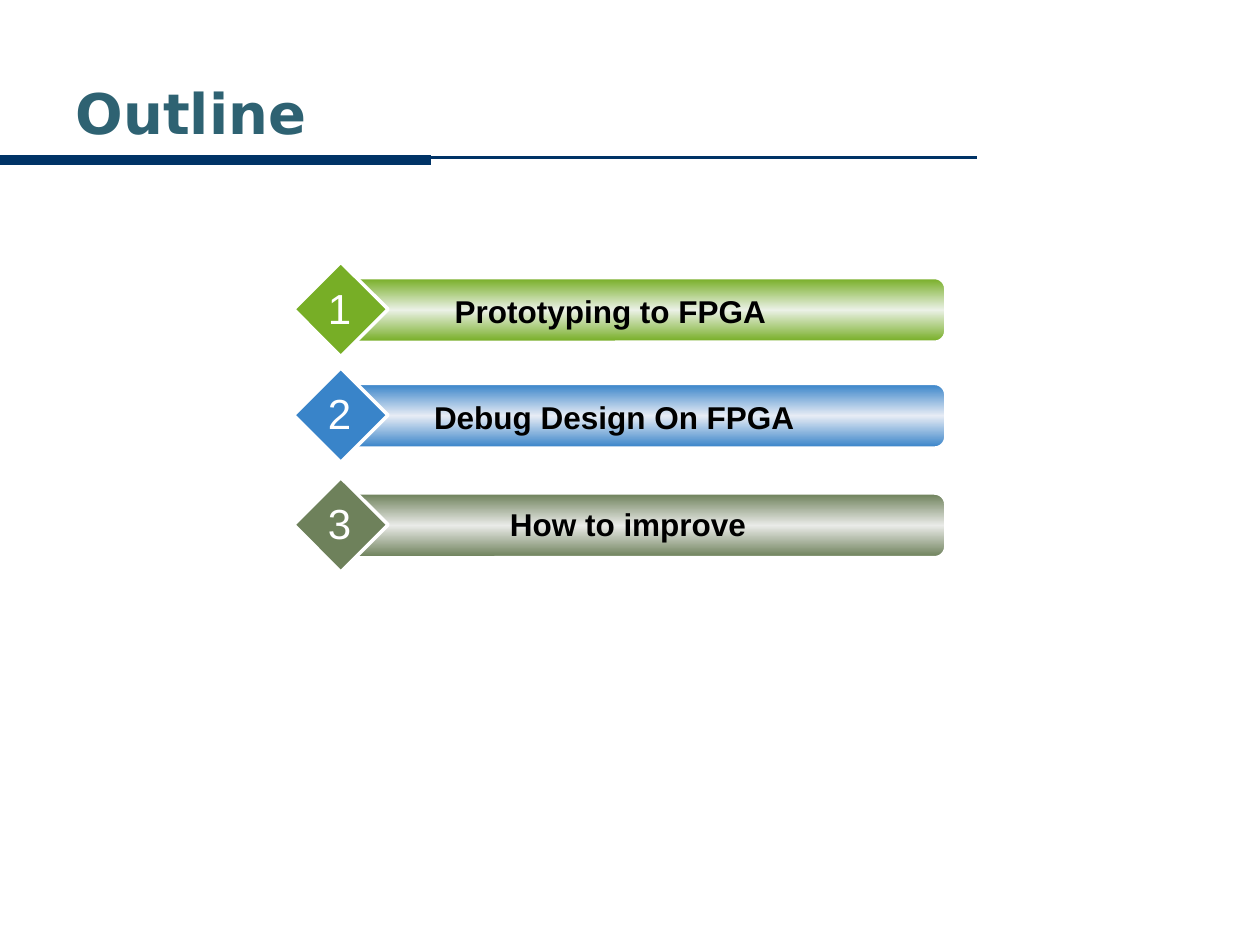
from copy import deepcopy

from pptx import Presentation
from pptx import util as u
from pptx.dml.color import RGBColor
from pptx.enum import shapes, text
from pptx.oxml.ns import qn
from lxml import etree

COLORS = {
    "rule": "003366", "title": "2E6272", "white": "FFFFFF", "black": "000000",
    "green": "77AE26", "green_light": "EBF1E6",
    "blue": "3984C9", "blue_light": "E7ECF5",
    "olive": "6E815B", "olive_light": "EAEBE8",
}

STEPS = [
    ("1", "Prototyping to FPGA ", "green", 2.21, 3, 2.27),
    ("2", "Debug Design On FPGA", "blue", 3.05, 3, 3.11),
    ("3", "How to improve", "olive", 3.92, 3.11, 3.96),
]


def color(name):
    return RGBColor.from_string(COLORS[name])


def inches(*lengths):
    return [u.Inches(length) for length in lengths]


def write(shape, words, size, fill, font="Arial", bold=False,
          align=text.PP_ALIGN.CENTER, anchor=text.MSO_ANCHOR.TOP, wrap=True):
    frame = shape.text_frame
    frame.word_wrap = wrap
    frame.vertical_anchor = anchor
    paragraph = frame.paragraphs[0]
    paragraph.alignment = align
    run = paragraph.add_run()
    run.text = words
    run.font.name = font
    run.font.size = u.Pt(size)
    run.font.bold = bold
    run.font.color.rgb = color(fill)


def add_rule(slide, right, top, width):
    line = slide.shapes.add_connector(
        shapes.MSO_CONNECTOR.STRAIGHT, *inches(0, top, right, top))
    line.line.color.rgb = color("rule")
    line.line.width = u.Pt(width)
    etree.SubElement(line._element.spPr, qn("a:effectLst"))


def add_outlined(slide, kind, box, width):
    shape = slide.shapes.add_shape(kind, *inches(*box))
    shape.shadow.inherit = False
    shape.line.color.rgb = color("white")
    shape.line.width = u.Pt(width)
    return shape


def fill_with_sheen(shape, edge, middle):
    shape.fill.gradient()
    shape.fill.gradient_angle = 90
    stops = shape.fill.gradient_stops
    first = shape._element.spPr.find(".//" + qn("a:gs"))
    first.addnext(deepcopy(first))
    for stop, position, name in zip(stops, (0, 0.5, 1), (edge, middle, edge)):
        stop.position = position
        stop.color.rgb = color(name)


def add_step(slide, number, caption, hue, top, caption_left, caption_top):
    bar = add_outlined(slide, shapes.MSO_SHAPE.ROUNDED_RECTANGLE,
                       (2.75, top, 4.75, 0.5), 1)
    bar.adjustments[0] = 0.167
    fill_with_sheen(bar, hue, hue + "_light")
    diamond = add_outlined(slide, shapes.MSO_SHAPE.DIAMOND,
                           (2.33, top - 0.13, 0.75, 0.75), 2)
    diamond.fill.solid()
    diamond.fill.fore_color.rgb = color(hue)
    caption_box = slide.shapes.add_textbox(
        *inches(caption_left, caption_top, 3.75, 0.4))
    write(caption_box, caption, 18, "black", bold=True)
    number_box = slide.shapes.add_textbox(*inches(2.5, top - 0.02, 0.39, 0.51))
    write(number_box, number, 24, "white", wrap=False)


def add_title(slide, words):
    title = slide.shapes.title
    title.left, title.top, title.width, title.height = inches(0.5, 0.58, 8.42, 0.62)
    write(title, words, 32, "title", font="DejaVu Sans", bold=True,
          align=text.PP_ALIGN.LEFT, anchor=text.MSO_ANCHOR.MIDDLE)


def main():
    presentation = Presentation()
    presentation.slide_width, presentation.slide_height = inches(10, 7.5)
    slide = presentation.slides.add_slide(presentation.slide_layouts[5])
    add_rule(slide, 7.75, 1.25, 1.5)
    add_rule(slide, 3.42, 1.27, 6)
    add_title(slide, "Outline")
    for step in STEPS:
        add_step(slide, *step)
    presentation.save("out.pptx")


if __name__ == "__main__":
    main()
